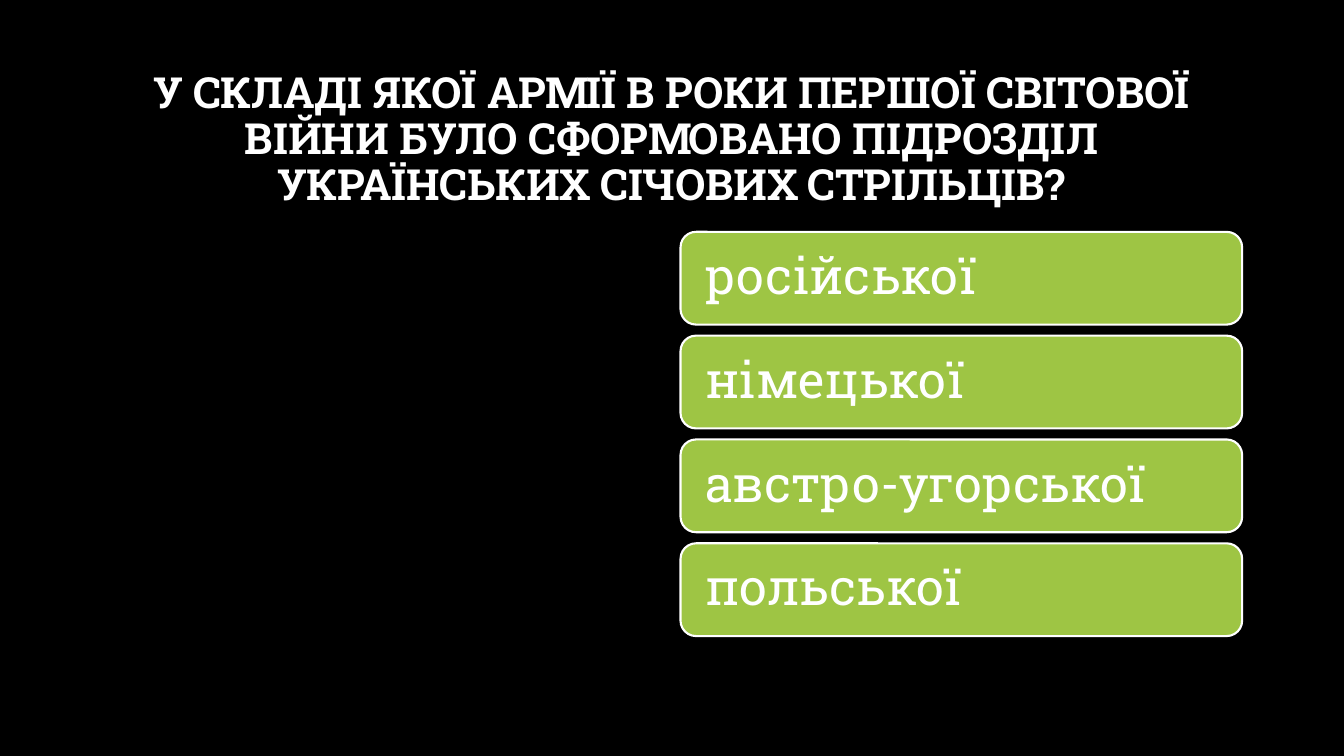
from dataclasses import dataclass

from pptx import Presentation
from pptx.dml.color import RGBColor
from pptx.enum.shapes import MSO_SHAPE as Shape
from pptx.enum.text import MSO_ANCHOR as Anchor, PP_ALIGN as Align
from pptx.util import Emu, Pt


@dataclass(frozen=True)
class Theme:
    """Colours, font and type sizes of the quiz slide."""
    background: RGBColor = RGBColor(0x00, 0x00, 0x00)
    card: RGBColor = RGBColor(0x9E, 0xC5, 0x44)
    text: RGBColor = RGBColor(0xFF, 0xFF, 0xFF)
    font: str = "Roboto Slab"
    question_size: float = 30.6
    answer_size: float = 36
    outline: float = 1.5


THEME = Theme()
EMU_PER_PX = 9144
QUESTION = ("У СКЛАДІ ЯКОЇ АРМІЇ В РОКИ ПЕРШОЇ СВІТОВОЇ ВІЙНИ БУЛО "
            "СФОРМОВАНО ПІДРОЗДІЛ УКРАЇНСЬКИХ СІЧОВИХ СТРІЛЬЦІВ?")
ANSWERS = ["російської", "німецької", "австро-угорської", "польської"]
CARD_LEFT, CARD_TOP, CARD_WIDTH, CARD_HEIGHT = 675, 230, 557, 92
CARD_GAP = 11
CARD_PADDING = 20


def px(length):
    """Turn whole pixels into EMU."""
    return Emu(length * EMU_PER_PX)


def write_text(frame, text, size, align, bold=False):
    """Fill a frame with one vertically centred paragraph in the theme font."""
    frame.text = text
    frame.word_wrap = True
    frame.vertical_anchor = Anchor.MIDDLE
    paragraph = frame.paragraphs[0]
    paragraph.alignment = align
    paragraph.line_spacing = 0.9
    paragraph.space_before = Pt(0)
    font = paragraph.runs[0].font
    font.name = THEME.font
    font.size = Pt(size)
    font.bold = bold
    font.color.rgb = THEME.text


def place_question(slide):
    """Put the question into the title placeholder."""
    question = slide.shapes.title
    question.left, question.top = px(100), px(67)
    question.width, question.height = px(1132), px(145)
    write_text(question.text_frame, QUESTION, THEME.question_size, Align.CENTER, bold=True)


def add_answer(slide, answer, top):
    """Add one rounded answer card."""
    card = slide.shapes.add_shape(
        Shape.ROUNDED_RECTANGLE, px(CARD_LEFT), px(top), px(CARD_WIDTH), px(CARD_HEIGHT))
    card.shadow.inherit = False
    card.fill.solid()
    card.fill.fore_color.rgb = THEME.card
    card.line.color.rgb = THEME.text
    card.line.width = Pt(THEME.outline)
    frame = card.text_frame
    frame.margin_left = frame.margin_right = px(CARD_PADDING)
    frame.margin_top = frame.margin_bottom = px(0)
    write_text(frame, answer, THEME.answer_size, Align.LEFT)


def main():
    """Build and save the quiz slide."""
    deck = Presentation()
    deck.slide_width, deck.slide_height = px(1333), px(750)
    slide = deck.slides.add_slide(deck.slide_layouts[5])
    slide.background.fill.solid()
    slide.background.fill.fore_color.rgb = THEME.background
    place_question(slide)
    for row, answer in enumerate(ANSWERS):
        add_answer(slide, answer, CARD_TOP + row * (CARD_HEIGHT + CARD_GAP))
    deck.save("out.pptx")


if __name__ == "__main__":
    main()
